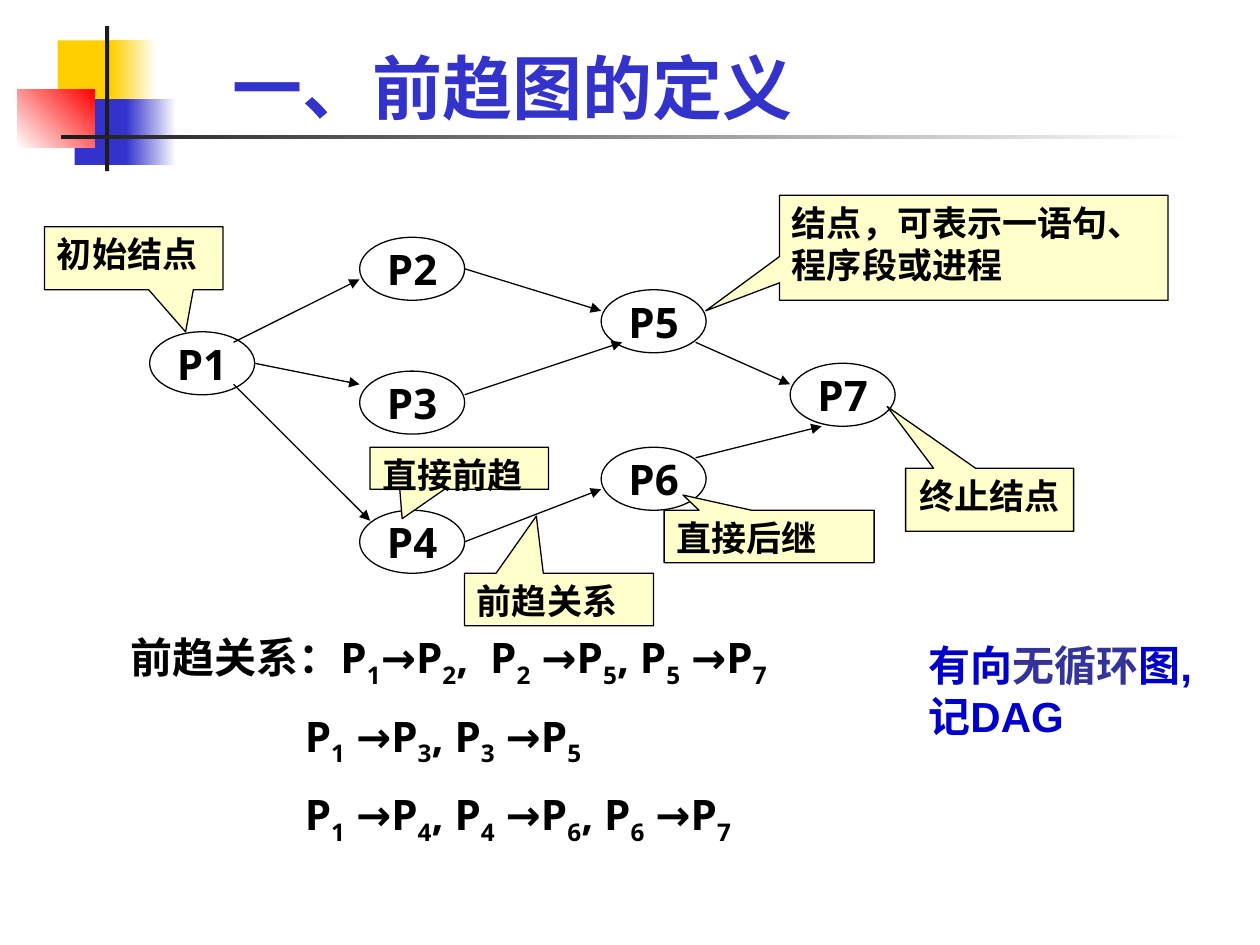
from itertools import groupby

from lxml import etree
from pptx import Presentation
from pptx import util as u
from pptx.dml.color import RGBColor
from pptx.enum import shapes, text
from pptx.oxml.ns import qn

BLACK, WHITE, BLUE = "000000", "FFFFFF", "3333CC"
GOLD, CREAM, INK = "FFCF01", "FFFFCC", "1C1C1C"
CJK = "Noto Sans CJK SC"
KIND = shapes.MSO_SHAPE


def color(code):
    return RGBColor.from_string(code)


class Board:
    """Draws on one slide with a grid of twelfths of an inch and a movable origin."""

    def __init__(self, slide):
        self.slide = slide
        self.font = "Noto Sans"
        self.origin = (0, 0)

    def place(self, col, row):
        left, top = self.origin
        return u.Inches((left + col) / 12), u.Inches((top + row) / 12)

    def size(self, cols, rows):
        return u.Inches(cols / 12), u.Inches(rows / 12)

    def style(self, run, size, tint=BLACK, font=None):
        run.font.size = u.Pt(size)
        run.font.bold = True
        run.font.name = font or self.font
        run.font.color.rgb = color(tint)
        east = etree.SubElement(run.font._element, qn("a:ea"))
        east.set("typeface", CJK)

    def block(self, kind, box, fill, line=None):
        shape = self.slide.shapes.add_shape(kind, *self.place(*box[:2]), *self.size(*box[2:]))
        shape.shadow.inherit = False
        shape.fill.solid()
        shape.fill.fore_color.rgb = color(fill)
        if line:
            shape.line.color.rgb = color(line)
            shape.line.width = u.Pt(0.75)
        else:
            shape.line.fill.background()
        return shape

    def fade(self, box, start, end, angle=0):
        shape = self.block(KIND.RECTANGLE, box, start)
        shape.fill.gradient()
        shape.fill.gradient_angle = angle
        for stop, tint in zip(shape.fill.gradient_stops, (start, end)):
            stop.color.rgb = color(tint)

    def label(self, shape, words, size, align, anchor, wrap=True):
        frame = shape.text_frame
        frame.text = words
        frame.word_wrap = wrap
        frame.vertical_anchor = anchor
        para = frame.paragraphs[0]
        para.alignment = align
        self.style(para.runs[0], size)

    def node(self, name, col, row):
        shape = self.block(KIND.OVAL, (col, row, 10, 6), WHITE, BLACK)
        self.label(shape, name, 24, text.PP_ALIGN.CENTER, text.MSO_ANCHOR.MIDDLE, False)

    def arrow(self, start, end):
        line = self.slide.shapes.add_connector(
            shapes.MSO_CONNECTOR.STRAIGHT, *self.place(*start), *self.place(*end))
        line.line.color.rgb = color(BLACK)
        line.line.width = u.Pt(0.75)
        etree.SubElement(line.line._get_or_add_ln(), qn("a:tailEnd")).set("type", "triangle")
        etree.SubElement(line._element.spPr, qn("a:effectLst"))

    def callout(self, words, box, tip, align=text.PP_ALIGN.LEFT):
        shape = self.block(KIND.RECTANGULAR_CALLOUT, box, CREAM, BLACK)
        shape.adjustments[0], shape.adjustments[1] = tip
        self.label(shape, words, 20, align, text.MSO_ANCHOR.TOP)

    def frame(self, box, anchor=text.MSO_ANCHOR.TOP):
        area = self.slide.shapes.add_textbox(*self.place(*box[:2]), *self.size(*box[2:]))
        area.text_frame.word_wrap = True
        area.text_frame.vertical_anchor = anchor
        return area.text_frame

    def phrase(self, box, parts, size, font, anchor=text.MSO_ANCHOR.TOP):
        para = self.frame(box, anchor).paragraphs[0]
        for words, tint in parts:
            run = para.add_run()
            run.text = words
            self.style(run, size, tint, font)

    def formulas(self, box, lines, indent):
        frame = self.frame(box)
        for i, line in enumerate(lines):
            para = frame.add_paragraph() if i else frame.paragraphs[0]
            if i:
                para.space_before = u.Pt(12)
                para._p.get_or_add_pPr().set("marL", str(u.Inches(indent / 12)))
            for low, chars in groupby(line, str.isdigit):
                run = para.add_run()
                run.text = "".join(chars)
                self.style(run, 24)
                if low:
                    run.font._element.set("baseline", "-25000")


deck = Presentation()
deck.slide_width, deck.slide_height = u.Inches(10), u.Inches(7.5)
board = Board(deck.slides.add_slide(deck.slide_layouts[6]))

board.block(KIND.RECTANGLE, (5.5, 3.85, 5.8, 6.25), GOLD)
board.fade((10.6, 3.85, 4.3, 6.25), GOLD, WHITE)
board.block(KIND.RECTANGLE, (7.1, 9.45, 5.5, 6.25), BLUE)
board.fade((12, 9.45, 4.8, 6.25), BLUE, WHITE)
board.fade((1.65, 8.5, 7.4, 5.6), WHITE, "FF0000", 45)
board.block(KIND.RECTANGLE, (10, 2.5, 0.4, 13.8), INK)
board.fade((5.8, 12.85, 108, 0.4), INK, WHITE)
board.phrase((21, 4.4, 83, 8.4), [("一、前趋图的定义", BLUE)], 40, CJK, text.MSO_ANCHOR.BOTTOM)

board.origin = (4.25, 21.6)
nodes = {"P1": (10, 10), "P2": (30, 1), "P3": (30, 13.75), "P4": (30, 27),
         "P5": (53, 6), "P6": (53, 21), "P7": (71, 13)}
for name, spot in nodes.items():
    board.node(name, *spot)

arrows = [((18, 11), (30, 5)), ((20, 13), (30, 15)), ((18, 15), (31, 28)),
          ((40, 4), (53, 8)), ((40, 16), (55, 11)), ((40, 30), (53, 25)),
          ((62, 11), (71, 15)), ((62, 22), (74, 19))]
for ends in arrows:
    board.arrow(*ends)

callouts = [("结点，可表示一语句、程序段或进程", (70, -3, 37, 10), (-0.69, 0.6)),
            ("前趋关系", (40, 33, 18, 5), (-0.12, -1.59)),
            ("初始结点", (0, 0, 17, 6), (0.29, 1.17)),
            ("终止结点", (82, 23, 16, 6), (-0.61, -1.48), text.PP_ALIGN.CENTER),
            ("直接前趋", (31, 21, 17, 4), (-0.32, 1.2)),
            ("直接后继", (59, 27, 20, 5), (-0.41, -0.79))]
for item in callouts:
    board.callout(*item)

board.phrase((83, 38.75, 29, 10.8),
             [("有向", "0000CC"), ("无循环", "333399"), ("图,记DAG", "0000CC")], 24, "Arial")
board.formulas((7, 38, 84, 20.4),
               ["前趋关系：P1→P2,  P2 →P5, P5 →P7", "P1 →P3, P3 →P5", "P1 →P4, P4 →P6, P6 →P7"],
               16.6)

deck.save("out.pptx")
